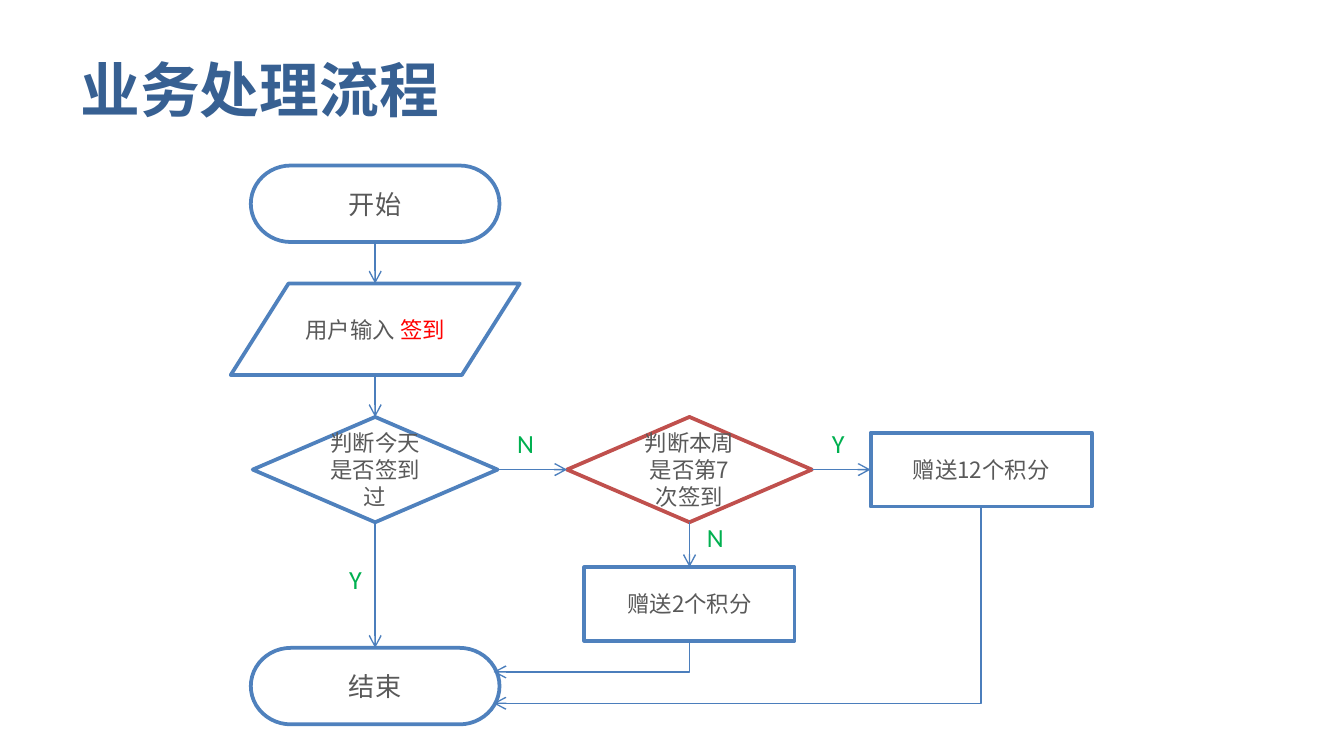
"""Build the check-in business process flowchart slide."""
from dataclasses import dataclass

import lxml.etree
import pptx
import pptx.dml.color
import pptx.enum.shapes
import pptx.enum.text
import pptx.oxml.ns
import pptx.util

Pt = pptx.util.Pt
Shapes = pptx.enum.shapes.MSO_SHAPE
qn = pptx.oxml.ns.qn

CHINESE_FONT = "Noto Sans CJK SC"
LABEL_FONT = "Calibri"
BLUE, RED, ARROW_BLUE = "4F81BD", "C0504D", "4B7EBC"
GREY, TEXT_RED, GREEN, TITLE_BLUE = "595959", "FF0000", "00B050", "376092"

MAIN_X, WEEK_X, BONUS_X = 201, 369.4, 525.6
DECISION_Y = 251.6


@dataclass(frozen=True)
class Run:
    text: str
    size: float
    color: str = GREY
    font: str = CHINESE_FONT
    bold: bool = False


@dataclass(frozen=True)
class Node:
    kind: Shapes
    x: float
    y: float
    width: float
    height: float
    runs: tuple[Run, ...]
    outline: str = BLUE

    @property
    def left(self) -> float:
        return self.x - self.width / 2

    @property
    def right(self) -> float:
        return self.x + self.width / 2

    @property
    def top(self) -> float:
        return self.y - self.height / 2

    @property
    def bottom(self) -> float:
        return self.y + self.height / 2


@dataclass(frozen=True)
class Label:
    text: str
    left: float
    top: float
    width: float


def rgb(color: str) -> pptx.dml.color.RGBColor:
    return pptx.dml.color.RGBColor.from_string(color)


def add_runs(paragraph, runs: tuple[Run, ...]) -> None:
    for item in runs:
        run = paragraph.add_run()
        run.text = item.text
        run.font.size = Pt(item.size)
        run.font.bold = item.bold
        run.font.color.rgb = rgb(item.color)
        run.font.name = item.font
        east_asian = lxml.etree.SubElement(run.font._element, qn("a:ea"))
        east_asian.set("typeface", item.font)


def add_text(slide, left: float, top: float, width: float, height: float, run: Run, wrap: bool):
    frame = slide.shapes.add_textbox(Pt(left), Pt(top), Pt(width), Pt(height)).text_frame
    frame.word_wrap = wrap
    add_runs(frame.paragraphs[0], (run,))
    return frame


def add_node(slide, node: Node) -> None:
    shape = slide.shapes.add_shape(
        node.kind, Pt(node.left), Pt(node.top), Pt(node.width), Pt(node.height)
    )
    shape.shadow.inherit = False
    shape.fill.solid()
    shape.fill.fore_color.rgb = rgb("FFFFFF")
    shape.line.color.rgb = rgb(node.outline)
    shape.line.width = Pt(2)
    frame = shape.text_frame
    frame.word_wrap = True
    frame.vertical_anchor = pptx.enum.text.MSO_ANCHOR.MIDDLE
    frame.paragraphs[0].alignment = pptx.enum.text.PP_ALIGN.CENTER
    add_runs(frame.paragraphs[0], node.runs)


def add_arrow(slide, x1: float, y1: float, x2: float, y2: float):
    connector = slide.shapes.add_connector(
        pptx.enum.shapes.MSO_CONNECTOR.STRAIGHT, Pt(x1), Pt(y1), Pt(x2), Pt(y2)
    )
    connector.line.color.rgb = rgb(ARROW_BLUE)
    connector.line.width = Pt(0.75)
    lxml.etree.SubElement(connector.line._get_or_add_ln(), qn("a:tailEnd")).set("type", "arrow")
    lxml.etree.SubElement(connector._element.spPr, qn("a:effectLst"))
    return connector


def add_down_left_arrow(slide, x1: float, y1: float, x2: float, y2: float) -> None:
    """Draw an elbow as a quarter-turned bentConnector2, whose sides are swapped."""
    width, height = y2 - y1, x1 - x2
    left, top = (x1 + x2 - width) / 2, (y1 + y2 - height) / 2
    connector = add_arrow(slide, left, top, left + width, top + height)
    properties = connector._element.spPr
    properties.find(qn("a:xfrm")).set("rot", str(90 * 60000))
    properties.find(qn("a:prstGeom")).set("prst", "bentConnector2")


def main() -> None:
    start = Node(Shapes.FLOWCHART_TERMINATOR, MAIN_X, 109.2, 133.2, 41, (Run("开始", 14),))
    end = Node(Shapes.FLOWCHART_TERMINATOR, MAIN_X, 367.6, 133.2, 41, (Run("结束", 14),))
    user_input = Node(Shapes.FLOWCHART_DATA, MAIN_X, 176.4, 154.8, 49,
                      (Run("用户输入 ", 12), Run("签到", 12, TEXT_RED)))
    today = Node(Shapes.FLOWCHART_DECISION, MAIN_X, DECISION_Y, 131.2, 56.4,
                 (Run("判断今天是否签到过", 12),))
    week = Node(Shapes.FLOWCHART_DECISION, WEEK_X, DECISION_Y, 131.2, 56.4,
                (Run("判断本周是否第7次签到", 12),), RED)
    bonus = Node(Shapes.FLOWCHART_PROCESS, BONUS_X, DECISION_Y, 118.4, 39.6,
                 (Run("赠送12个积分", 12),))
    regular = Node(Shapes.FLOWCHART_PROCESS, WEEK_X, 323.6, 112.6, 39.6,
                   (Run("赠送2个积分", 12),))
    nodes = (start, end, user_input, today, week, bonus, regular)
    downward = ((start, user_input), (user_input, today), (today, end), (week, regular))
    rightward = ((today, week), (week, bonus))
    returns = ((bonus, 376.8), (regular, 360))
    labels = (Label("Y", 180, 298.2, 21.6), Label("N", 270, 225.4, 23.8),
              Label("Y", 438.6, 225.4, 21.6), Label("N", 371.6, 276, 23.8))

    presentation = pptx.Presentation()
    presentation.slide_width, presentation.slide_height = Pt(720), Pt(405)
    slide = presentation.slides.add_slide(presentation.slide_layouts[6])

    title = Run("业务处理流程", 32, TITLE_BLUE, bold=True)
    title_frame = add_text(slide, 36, 21.6, 648, 51.8, title, True)
    title_frame.vertical_anchor = pptx.enum.text.MSO_ANCHOR.MIDDLE
    for node in nodes:
        add_node(slide, node)
    for source, target in downward:
        add_arrow(slide, source.x, source.bottom, target.x, target.top)
    for source, target in rightward:
        add_arrow(slide, source.right, source.y, target.left, target.y)
    for source, height in returns:
        add_down_left_arrow(slide, source.x, source.bottom, end.right - 3.2, height)
    for label in labels:
        add_text(slide, label.left, label.top, label.width, 24.2,
                 Run(label.text, 14, GREEN, LABEL_FONT), False)
    presentation.save("out.pptx")


if __name__ == "__main__":
    main()
